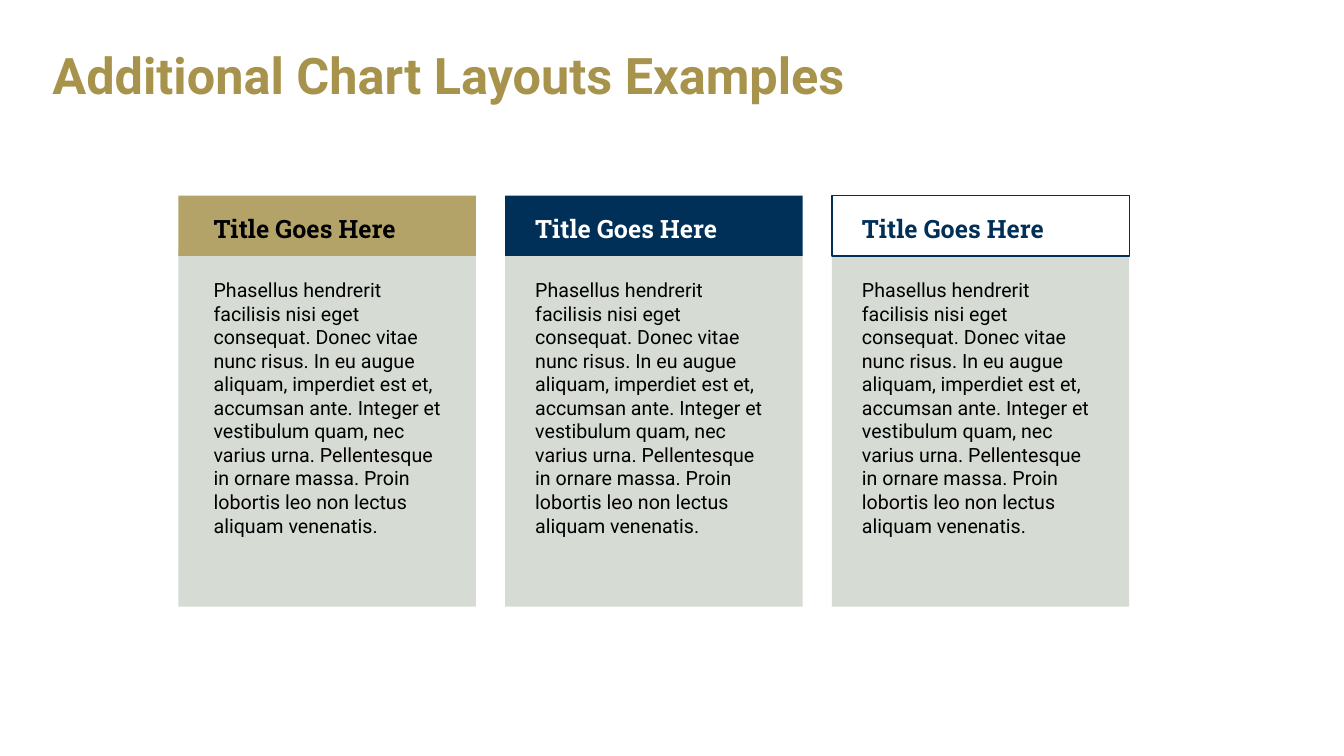
from dataclasses import dataclass
from typing import Optional

from pptx import Presentation
from pptx.dml.color import RGBColor
from pptx.enum.shapes import MSO_SHAPE as Preset
from pptx.enum.text import MSO_ANCHOR as Anchor, MSO_AUTO_SIZE as AutoSize, PP_ALIGN as Align
from pptx.slide import Slide
from pptx.text.text import TextFrame
from pptx.util import Inches, Pt

GOLD = RGBColor(0xB3, 0xA3, 0x69)
DARK_GOLD = RGBColor(0xA7, 0x93, 0x4B)
NAVY = RGBColor(0x00, 0x30, 0x57)
GRAY = RGBColor(0xD6, 0xDB, 0xD4)
BLACK = RGBColor(0x00, 0x00, 0x00)
WHITE = RGBColor(0xFF, 0xFF, 0xFF)

SANS, SLAB = "Roboto", "Roboto Slab"

FIRST_COLUMN, COLUMN_WIDTH, GUTTER = 1.77, 2.95, 0.29
BAND_ROW, BAND_HEIGHT = 1.94, 0.6
PANEL_ROW, PANEL_HEIGHT = 2.49, 3.53
HEADING_ROW, SUMMARY_ROW = 2.07, 2.71

HEADING = "Title Goes Here"
SUMMARY = (
    "Phasellus hendrerit facilisis nisi eget consequat. Donec vitae nunc risus. "
    "In eu augue aliquam, imperdiet est et, accumsan ante. Integer et vestibulum "
    "quam, nec varius urna. Pellentesque in ornare massa. Proin lobortis leo non "
    "lectus aliquam venenatis."
)


@dataclass(frozen=True)
class Box:
    """A rectangle on the slide, in inches."""

    left: float
    top: float
    width: float
    height: float

    def emu(self) -> tuple[int, int, int, int]:
        """Return the rectangle in slide units."""
        return Inches(self.left), Inches(self.top), Inches(self.width), Inches(self.height)


@dataclass(frozen=True)
class TextStyle:
    """Font settings of a run."""

    font: str
    size: int
    color: RGBColor
    bold: bool = False


@dataclass(frozen=True)
class Card:
    """A column with a coloured heading band over a gray panel."""

    band: RGBColor
    heading: RGBColor
    indent: float = 0.2
    outline: Optional[RGBColor] = None


CARDS = (
    Card(GOLD, BLACK, indent=0.25),
    Card(NAVY, WHITE),
    Card(WHITE, NAVY, outline=NAVY),
)


def write(frame: TextFrame, text: str, style: TextStyle) -> None:
    """Add one styled run to the first paragraph of a frame."""
    frame.word_wrap = True
    run = frame.paragraphs[0].add_run()
    run.text = text
    run.font.name = style.font
    run.font.size = Pt(style.size)
    run.font.bold = style.bold
    run.font.color.rgb = style.color


def add_title(slide: Slide, text: str) -> None:
    """Place and format the title placeholder."""
    title = slide.shapes.title
    title.left, title.top, title.width, title.height = Box(0.42, 0.22, 12.5, 1.11).emu()
    frame = title.text_frame
    frame.auto_size = AutoSize.NONE
    frame.vertical_anchor = Anchor.MIDDLE
    frame.paragraphs[0].alignment = Align.LEFT
    frame.paragraphs[0].line_spacing = 0.9
    write(frame, text, TextStyle(SANS, 36, DARK_GOLD, bold=True))


def add_block(slide: Slide, box: Box, fill: RGBColor, outline: Optional[RGBColor] = None) -> None:
    """Draw a flat rectangle with an optional outline."""
    block = slide.shapes.add_shape(Preset.RECTANGLE, *box.emu())
    block.shadow.inherit = False
    block.fill.solid()
    block.fill.fore_color.rgb = fill
    if outline is None:
        block.line.fill.background()
    else:
        block.line.color.rgb = outline
        block.line.width = Pt(1)


def add_text(slide: Slide, box: Box, text: str, style: TextStyle) -> None:
    """Add a wrapping text box that grows with its text."""
    frame = slide.shapes.add_textbox(*box.emu()).text_frame
    frame.auto_size = AutoSize.SHAPE_TO_FIT_TEXT
    write(frame, text, style)


def add_card(slide: Slide, column: int, card: Card) -> None:
    """Draw one card in the given grid column."""
    left = FIRST_COLUMN + column * (COLUMN_WIDTH + GUTTER)
    text_left = left + card.indent
    add_block(slide, Box(left, PANEL_ROW, COLUMN_WIDTH, PANEL_HEIGHT), GRAY)
    add_block(slide, Box(left, BAND_ROW, COLUMN_WIDTH, BAND_HEIGHT), card.band, card.outline)
    add_text(slide, Box(text_left, SUMMARY_ROW, 2.51, 2.69), SUMMARY, TextStyle(SANS, 14, BLACK))
    add_text(slide, Box(text_left, HEADING_ROW, 2.37, 0.4), HEADING,
             TextStyle(SLAB, 18, card.heading, bold=True))


def main() -> None:
    """Build the slide and save it."""
    deck = Presentation()
    deck.slide_width, deck.slide_height = Inches(13.33), Inches(7.5)
    slide = deck.slides.add_slide(deck.slide_layouts.get_by_name("Title Only"))
    add_title(slide, "Additional Chart Layouts Examples")
    for column, card in enumerate(CARDS):
        add_card(slide, column, card)
    deck.save("out.pptx")


if __name__ == "__main__":
    main()
